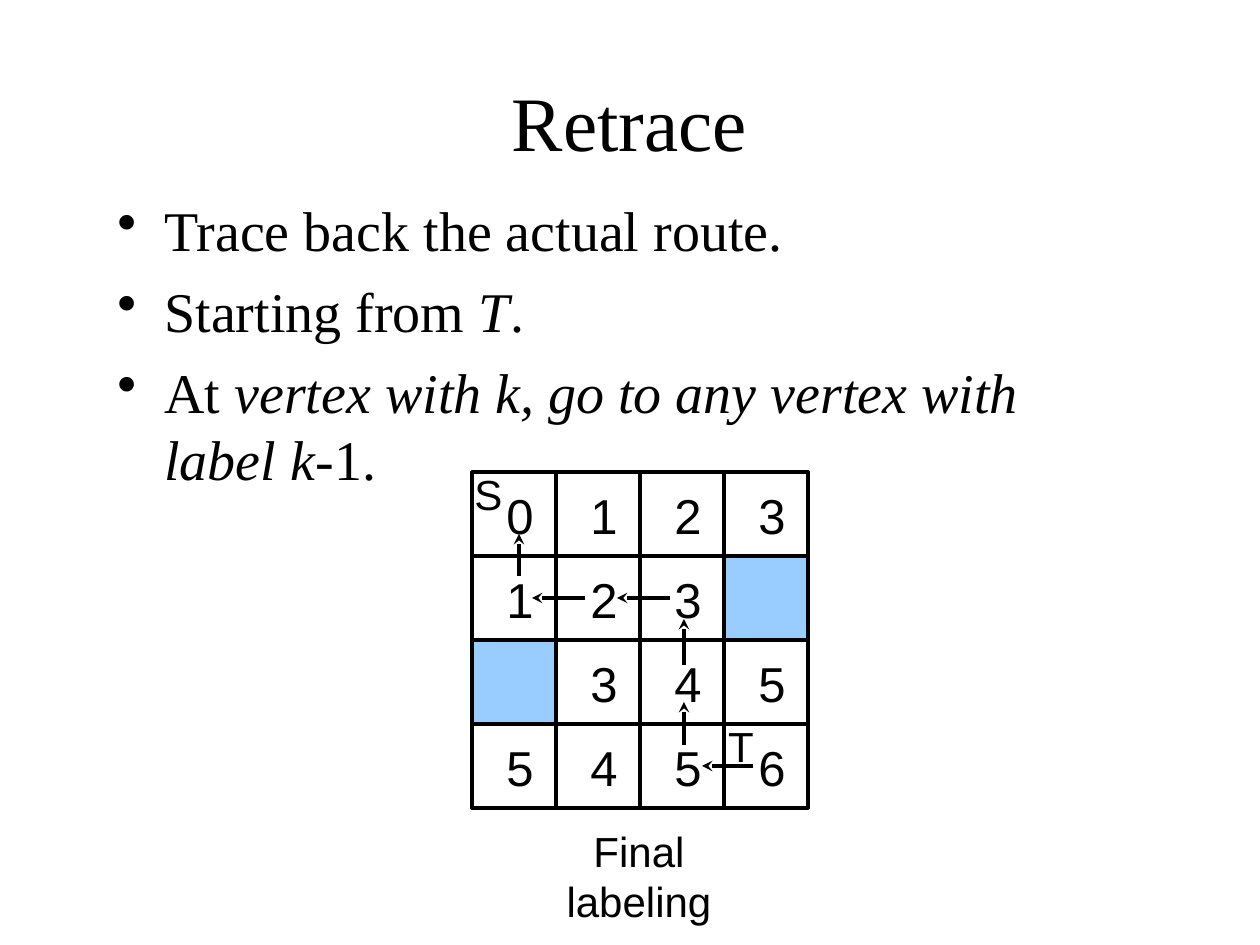
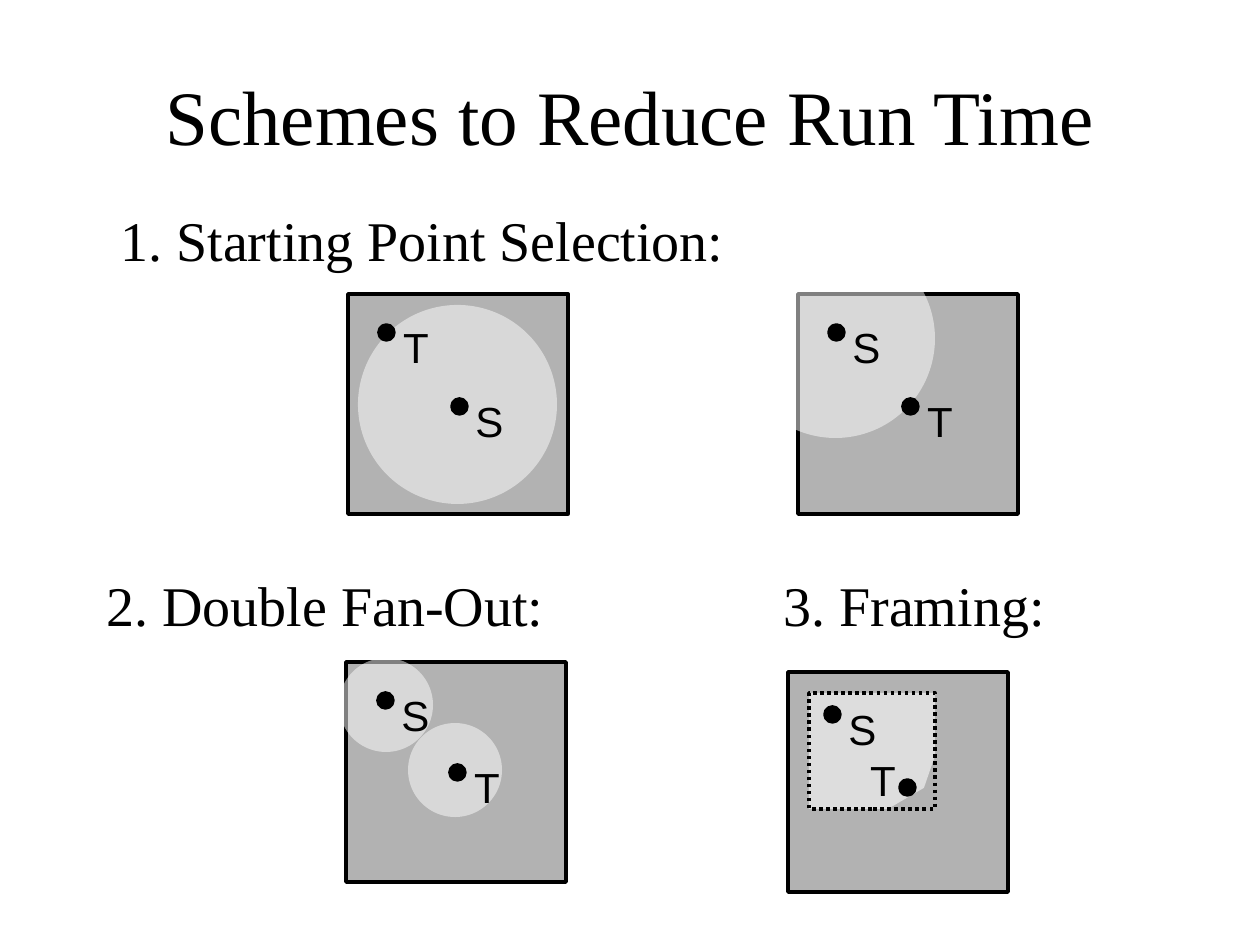
from typing import NamedTuple

from lxml import etree
from pptx import Presentation, util as u
from pptx.dml.color import RGBColor
from pptx.enum import dml, shapes as s, text as t
from pptx.oxml.ns import qn

EMU_PER_PX = 914400 / 126
SERIF, SANS = "Times New Roman", "Arial"
BLACK, WHITE, GRAY, PALE, BLUE = "000000", "FFFFFF", "B2B2B2", "DDDDDD", "99CCFF"
LINE_WIDTH = u.Pt(2)
BULLET_INDENT = 47

CELL = 84
GRID_LEFT, GRID_TOP = 472, 472
BLOCKED = None
LABELS = [
    [0, 1, 2, 3],
    [1, 2, 3, BLOCKED],
    [BLOCKED, 3, 4, 5],
    [5, 4, 5, 6],
]

PANEL_SIZE = 220
DOT_SIZE = 15


class Box(NamedTuple):
    left: int
    top: int
    width: int
    height: int


class Run(NamedTuple):
    text: str
    italic: bool = False


class Arrow(NamedTuple):
    x1: int
    y1: int
    x2: int
    y2: int


class Circle(NamedTuple):
    left: int
    top: int
    size: int


class Point(NamedTuple):
    """A black dot and its letter, with the letter's offset from the dot."""
    name: str
    left: int
    top: int
    label_dx: int = 11
    label_dy: int = -10


class Panel(NamedTuple):
    left: int
    top: int
    circles: list[Circle]
    points: list[Point]


RETRACE_ARROWS = [
    Arrow(753, 766, 702, 766),
    Arrow(684, 745, 684, 702),
    Arrow(684, 665, 684, 619),
    Arrow(670, 598, 617, 598),
    Arrow(585, 598, 532, 598),
    Arrow(519, 576, 519, 534),
]

CENTER_START = Panel(348, 294, [Circle(358, 305, 199)],
                     [Point("T", 379, 325), Point("S", 452, 399)])
CORNER_START = Panel(798, 294, [Circle(736, 239, 199)],
                     [Point("S", 829, 325), Point("T", 903, 399)])
FAN_OUT = Panel(346, 662, [Circle(339, 658, 94), Circle(408, 723, 94)],
                [Point("S", 378, 693), Point("T", 450, 765)])
FRAMING = Panel(788, 672, [],
                [Point("S", 825, 707), Point("T", 900, 780, -43, -32)])
FRAME = Box(809, 693, 126, 116)


def px(length: float) -> int:
    return round(length * EMU_PER_PX)


def color(value: str) -> RGBColor:
    return RGBColor.from_string(value)


def add_text(slide, box: Box, content, *, size: int, font: str = SANS,
             align=t.PP_ALIGN.CENTER, anchor=t.MSO_ANCHOR.TOP, wrap: bool = False,
             bullet: str = "", space_before: int = 0):
    """Content is one string, or a list of paragraphs given as lists of runs."""
    shape = slide.shapes.add_textbox(*map(px, box))
    frame = shape.text_frame
    frame.word_wrap = wrap
    frame.vertical_anchor = anchor
    paragraphs = [[Run(content)]] if isinstance(content, str) else content
    for index, runs in enumerate(paragraphs):
        paragraph = frame.add_paragraph() if index else frame.paragraphs[0]
        if bullet:
            properties = paragraph._p.get_or_add_pPr()
            properties.set("marL", str(px(BULLET_INDENT)))
            properties.set("indent", str(-px(BULLET_INDENT)))
            etree.SubElement(properties, qn("a:buChar")).set("char", bullet)
        paragraph.alignment = align
        if index:
            paragraph.space_before = u.Pt(space_before)
        for part in runs:
            run = paragraph.add_run()
            run.text = part.text
            run.font.name = font
            run.font.size = u.Pt(size)
            run.font.italic = part.italic
            run.font.color.rgb = color(BLACK)
    return shape


def add_title(slide, box: Box, title: str) -> None:
    add_text(slide, box, title, size=44, font=SERIF, wrap=True,
             anchor=t.MSO_ANCHOR.MIDDLE)


def paint(shape, fill: str = "", line: str = "", alpha: int = 100) -> None:
    shape.shadow.inherit = False
    if fill:
        shape.fill.solid()
        shape.fill.fore_color.rgb = color(fill)
        if alpha < 100:
            fill_color = shape.element.spPr.find(qn("a:solidFill"))[0]
            etree.SubElement(fill_color, qn("a:alpha")).set("val", str(alpha * 1000))
    else:
        shape.fill.background()
    if line:
        shape.line.color.rgb = color(line)
        shape.line.width = LINE_WIDTH
    else:
        shape.line.fill.background()


def add_rectangle(slide, box: Box, fill: str = ""):
    shape = slide.shapes.add_shape(s.MSO_SHAPE.RECTANGLE, *map(px, box))
    paint(shape, fill, BLACK)
    return shape


def add_circle(slide, circle: Circle, fill: str, line: str = "", alpha: int = 100) -> None:
    box = Box(circle.left, circle.top, circle.size, circle.size)
    shape = slide.shapes.add_shape(s.MSO_SHAPE.OVAL, *map(px, box))
    paint(shape, fill, line, alpha)


def add_arrow(slide, arrow: Arrow) -> None:
    connector = slide.shapes.add_connector(s.MSO_CONNECTOR.STRAIGHT, *map(px, arrow))
    connector.line.color.rgb = color(BLACK)
    connector.line.width = LINE_WIDTH
    properties = connector.element.spPr
    etree.SubElement(properties.find(qn("a:ln")), qn("a:tailEnd")).set("type", "stealth")
    etree.SubElement(properties, qn("a:effectLst"))


def add_letter(slide, name: str, left: int, top: int) -> None:
    add_text(slide, Box(left, top, 52, 63), name, size=24)


def add_grid(slide) -> None:
    for row, labels in enumerate(LABELS):
        for column, label in enumerate(labels):
            left, top = GRID_LEFT + column * CELL, GRID_TOP + row * CELL
            blocked = label is BLOCKED
            add_rectangle(slide, Box(left, top, CELL, CELL), BLUE if blocked else "")
            if not blocked:
                add_text(slide, Box(left + 22, top + 7, 52, 72), str(label), size=28)


def add_panel(slide, panel: Panel) -> None:
    add_rectangle(slide, Box(panel.left, panel.top, PANEL_SIZE, PANEL_SIZE), GRAY)
    for circle in panel.circles:
        add_circle(slide, circle, WHITE, alpha=50)


def add_points(slide, panel: Panel) -> None:
    for point in panel.points:
        add_circle(slide, Circle(point.left, point.top, DOT_SIZE), BLACK, BLACK)
        add_letter(slide, point.name, point.left + point.label_dx,
                   point.top + point.label_dy)


def add_frame(slide) -> None:
    """Dotted frame around the pale region reached inside it."""
    left, top, width, height = FRAME
    right, bottom = left + width, top + height
    builder = slide.shapes.build_freeform(left, top, scale=EMU_PER_PX)
    builder.add_line_segments([(left, bottom), (left + 79, bottom), (right - 11, bottom - 21),
                               (right, top + 63), (right, top)])
    paint(builder.convert_to_shape(), PALE)
    add_rectangle(slide, FRAME).line.dash_style = dml.MSO_LINE.ROUND_DOT


def build_retrace(slide) -> None:
    add_title(slide, Box(94, 42, 1071, 157), "Retrace")
    steps = [
        [Run("Trace back the actual route.")],
        [Run("Starting from "), Run("T", True), Run(".")],
        [Run("At "), Run("vertex with k, go to any vertex with label k", True), Run("-1.")],
    ]
    add_text(slide, Box(105, 189, 1040, 693), steps, size=32, font=SERIF, wrap=True,
             align=t.PP_ALIGN.LEFT, bullet="•", space_before=8)
    add_grid(slide)
    add_letter(slide, "S", 462, 462)
    add_letter(slide, "T", 715, 714)
    add_text(slide, Box(503, 819, 272, 63), "Final labeling", size=24)
    for arrow in RETRACE_ARROWS:
        add_arrow(slide, arrow)


def build_schemes(slide) -> None:
    add_title(slide, Box(21, 73, 1218, 84), "Schemes to Reduce Run Time")
    headings = [
        ("1. Starting Point Selection:", 108, 199),
        ("2. Double Fan-Out:", 94, 564),
        ("3. Framing:", 771, 564),
    ]
    for heading, left, top in headings:
        add_text(slide, Box(left, top, 640, 77), heading, size=32, font=SERIF,
                 align=t.PP_ALIGN.LEFT, wrap=True)
    panels = [CENTER_START, CORNER_START, FAN_OUT, FRAMING]
    for panel in panels:
        add_panel(slide, panel)
    add_frame(slide)
    for panel in panels:
        add_points(slide, panel)


def main() -> None:
    presentation = Presentation()
    presentation.slide_width, presentation.slide_height = px(1260), px(945)
    blank = presentation.slide_layouts[6]
    for build in (build_retrace, build_schemes):
        build(presentation.slides.add_slide(blank))
    presentation.save("out.pptx")


if __name__ == "__main__":
    main()
